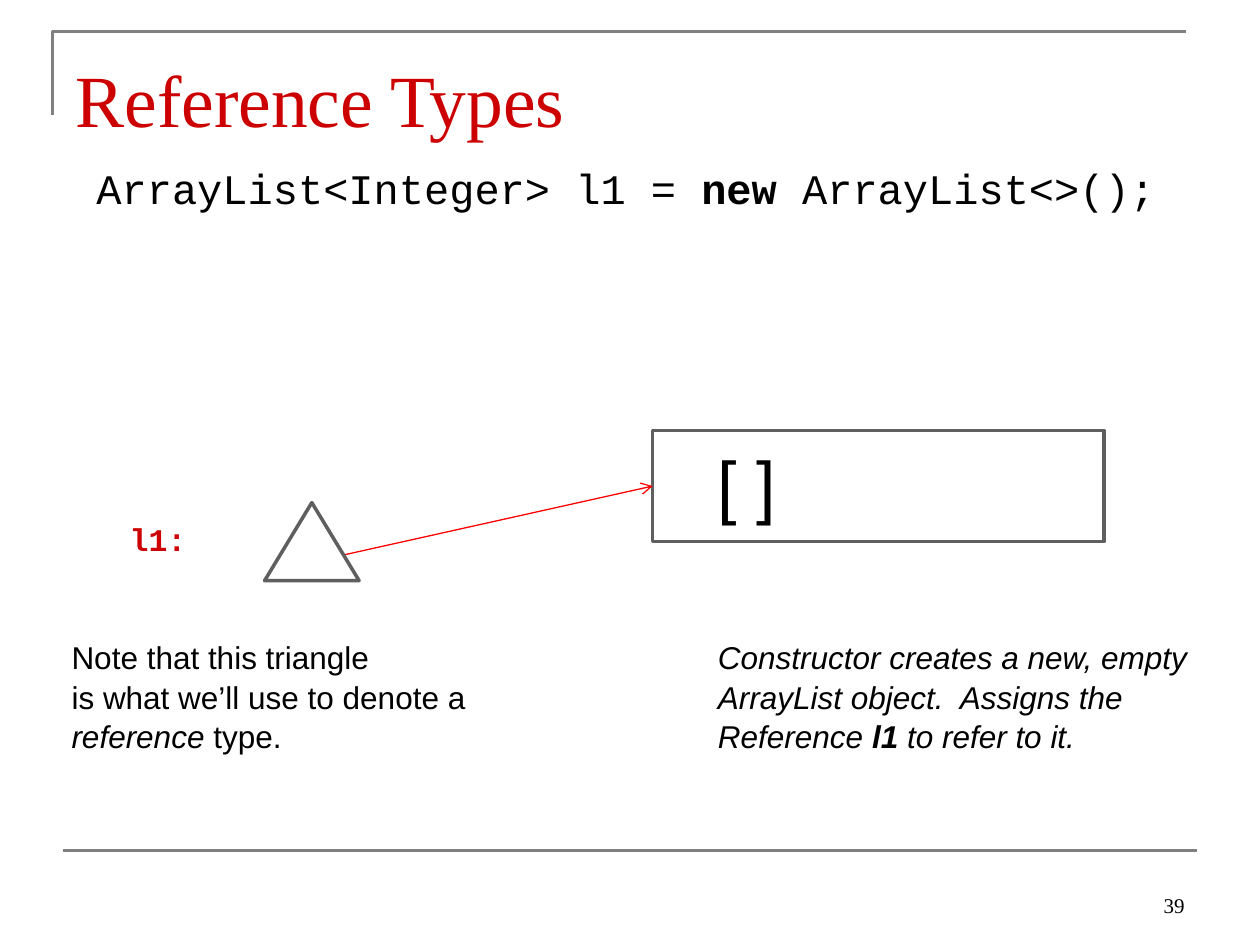
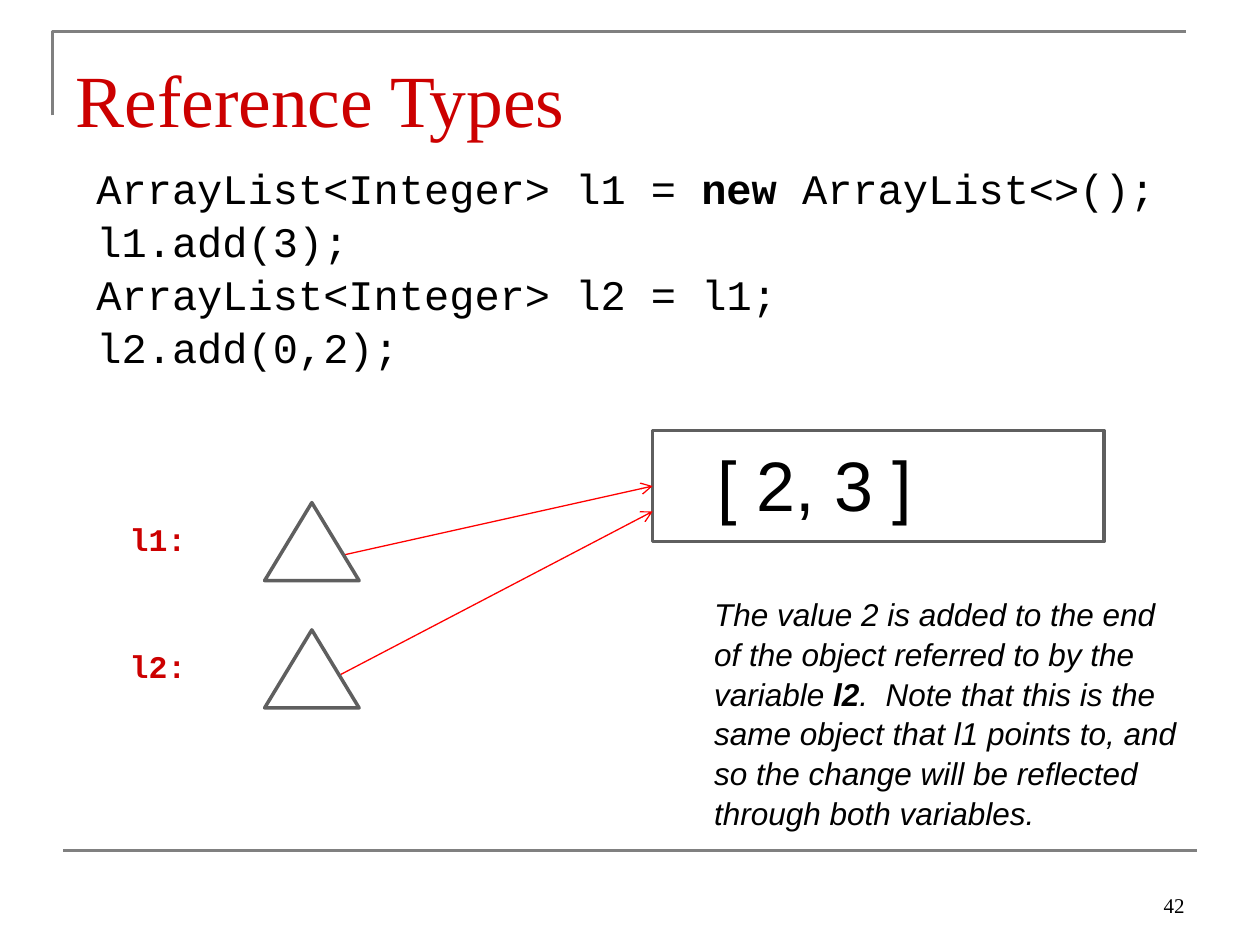
from lxml import etree
from pptx import Presentation
from pptx.dml.color import RGBColor
from pptx.enum.shapes import MSO_CONNECTOR as CONN, MSO_SHAPE as SHAPE
from pptx.enum.text import MSO_ANCHOR as ANCHOR, MSO_AUTO_SIZE as AUTO, PP_ALIGN as ALIGN
from pptx.oxml.ns import qn
from pptx.util import Pt

RED, ARROW_RED, BLACK, WHITE = "CC0000", "FF0000", "000000", "FFFFFF"
RULE_GRAY, OUTLINE = "808080", "5F5F5F"
SERIF, SANS, MONO = "Times New Roman", "Arial", "Courier New"
rgb = RGBColor.from_string


def add_text(s, x, y, w, h, lines, size, font=SANS, color=BLACK, wrap=False):
    """Add a text box; each line is a list of (text, style), style holding b and/or i."""
    tf = s.shapes.add_textbox(Pt(x), Pt(y), Pt(w), Pt(h)).text_frame
    tf.word_wrap = wrap
    for i, line in enumerate(lines):
        p = tf.paragraphs[0] if i == 0 else tf.add_paragraph()
        p.line_spacing = 1.05
        for text, style in line:
            r = p.add_run()
            r.text = text
            r.font.name, r.font.size = font, Pt(size)
            r.font.color.rgb = rgb(color)
            r.font.bold, r.font.italic = "b" in style, "i" in style
    return tf


def add_line(s, x1, y1, x2, y2, color, width, arrow=False):
    line = s.shapes.add_connector(CONN.STRAIGHT, Pt(x1), Pt(y1), Pt(x2), Pt(y2))
    line.line.color.rgb = rgb(color)
    line.line.width = Pt(width)
    if arrow:
        etree.SubElement(line.line._get_or_add_ln(), qn("a:tailEnd"), type="arrow")
    etree.SubElement(line._element.spPr, qn("a:effectLst"))
    return line


new_list = [("ArrayList<Integer> l1 = ", ""), ("new ", "b"), ("ArrayList<>();", "")]
slides = [
    {
        "number": "39",
        "code": [new_list],
        "value": "[ ]",
        "variables": ["l1:"],
        "notes": [
            (403.2, 360, 285, 73, [
                [("Constructor creates a new, empty", "i")],
                [("ArrayList object.  Assigns the", "i")],
                [("Reference ", "i"), ("l1 ", "bi"), ("to refer to it.", "i")],
            ]),
            (33.8, 360, 242, 73, [
                [("Note that this triangle", "")],
                [("is what we’ll use to denote a", "")],
                [("reference", "i"), (" type.", "")],
            ]),
        ],
    },
    {
        "number": "42",
        "code": [
            new_list,
            [("l1.add(3);", "")],
            [("ArrayList<Integer> l2 = l1;", "")],
            [("l2.add(0,2);", "")],
        ],
        "value": "[ 2, 3 ]",
        "variables": ["l1:", "l2:"],
        "notes": [
            (401, 335.5, 281, 138, [
                [("The value 2 is added to the end", "i")],
                [("of the object referred to by the", "i")],
                [("variable ", "i"), ("l2", "bi"), (".  Note that this is the", "i")],
                [("same object that l1 points to, and", "i")],
                [("so the change will be reflected", "i")],
                [("through both variables.", "i")],
            ]),
        ],
    },
]

prs = Presentation()
prs.slide_width, prs.slide_height = Pt(720), Pt(540)

for content in slides:
    s = prs.slides.add_slide(prs.slide_layouts[5])

    # Title, frame rules and slide number
    title = s.shapes.title
    title.left, title.top, title.width, title.height = Pt(36), Pt(21.6), Pt(648), Pt(90)
    tf = title.text_frame
    tf.text = "Reference Types"
    tf.auto_size, tf.vertical_anchor, tf.margin_top = AUTO.NONE, ANCHOR.TOP, Pt(7)
    p = tf.paragraphs[0]
    p.alignment, p.line_spacing = ALIGN.LEFT, 1.05
    font = p.runs[0].font
    font.name, font.size, font.color.rgb = SERIF, Pt(42), rgb(RED)

    builder = s.shapes.build_freeform(Pt(30), Pt(66))
    builder.add_line_segments([(Pt(30), Pt(18)), (Pt(678), Pt(18))], close=False)
    corner = builder.convert_to_shape()
    corner.shadow.inherit = False
    corner.fill.background()
    corner.line.color.rgb = rgb(RULE_GRAY)
    corner.line.width = Pt(1.5)
    add_line(s, 36, 486, 684, 486, RULE_GRAY, 1.5)

    tf = add_text(s, 516, 492, 168, 36, [[(content["number"], "")]], 12, SERIF, wrap=True)
    tf.vertical_anchor = ANCHOR.BOTTOM
    tf.paragraphs[0].alignment = ALIGN.RIGHT

    # The list object
    box = s.shapes.add_shape(SHAPE.RECTANGLE, Pt(373), Pt(246), Pt(258), Pt(63.5))
    box.shadow.inherit = False
    box.fill.background()
    box.line.color.rgb = rgb(OUTLINE)
    box.line.width = Pt(2)
    add_text(s, 403.2, 246.2, 216, 55.4, [[(content["value"], "")]], 40, wrap=True)

    # Variables referring to it
    for i, name in enumerate(content["variables"]):
        dy = 72.75 * i
        add_text(s, 67, 292.3 + dy, 47, 29, [[(name, "b")]], 18, MONO, RED)
        arrow = add_line(s, 178.6, 321.1 + dy, 373, 277.75 + 14.5 * i, ARROW_RED, 0.75, arrow=True)
        if i == 0:
            arrow.end_connect(box, 1)
        triangle = s.shapes.add_shape(SHAPE.ISOSCELES_TRIANGLE, Pt(151.2), Pt(287.2 + dy), Pt(54), Pt(44.6))
        triangle.shadow.inherit = False
        triangle.fill.solid()
        triangle.fill.fore_color.rgb = rgb(WHITE)
        triangle.line.color.rgb = rgb(OUTLINE)
        triangle.line.width = Pt(2)

    # Code and explanations
    lines = content["code"]
    add_text(s, 48, 88, 624, 20 + 38.6 * len(lines), lines, 24, MONO)
    for x, y, w, h, note in content["notes"]:
        add_text(s, x, y, w, h, note, 18)

prs.save("out.pptx")
